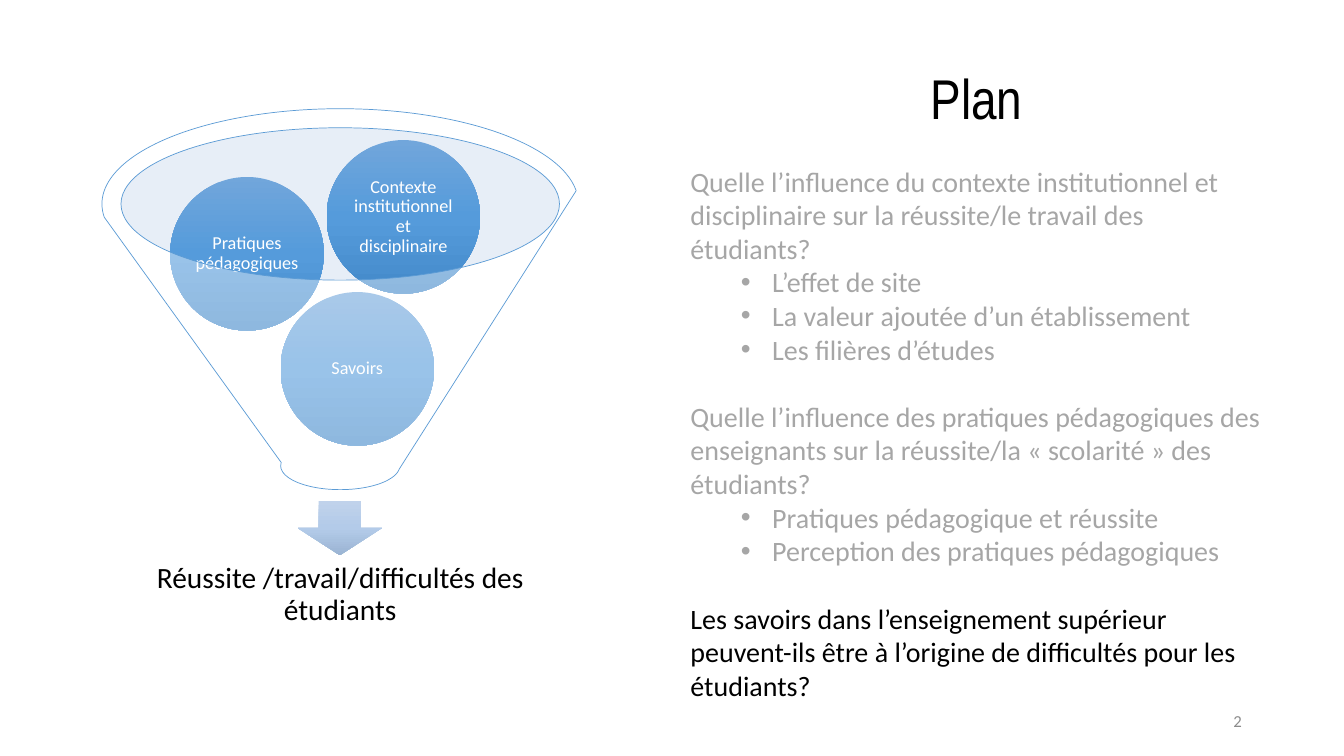
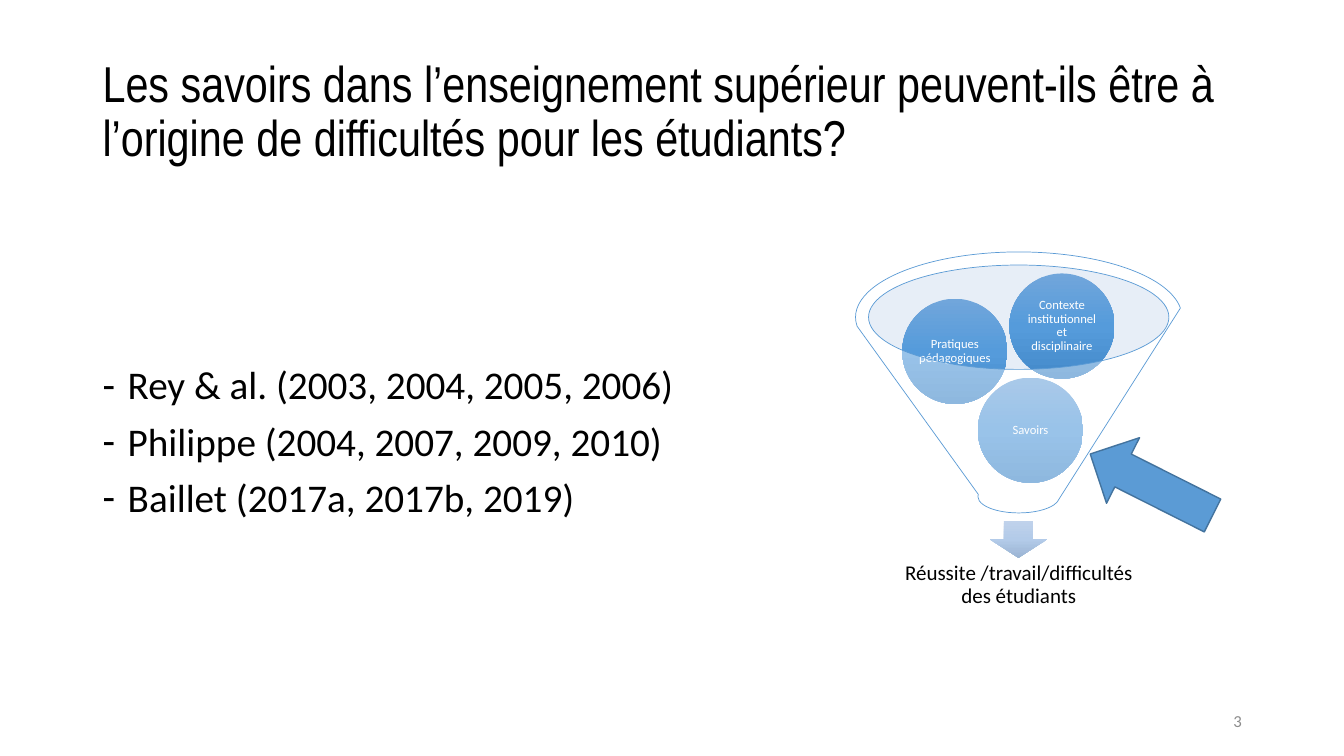
from copy import deepcopy
from dataclasses import dataclass
from typing import Optional

from lxml.etree import SubElement
from pptx import Presentation
from pptx.dml.color import RGBColor
from pptx.enum.shapes import MSO_SHAPE
from pptx.enum.text import MSO_ANCHOR, PP_ALIGN
from pptx.oxml.ns import qn
from pptx.util import Cm, Pt

BODY_FONT, TITLE_FONT = "Calibri", "Arial Narrow"
BLACK, WHITE, MUTED, NUMBER_GREY = "000000", "FFFFFF", "A6A6A6", "8C8C8C"
BLUE, DARK_BLUE, PALE_BLUE = "5B9BD5", "43739E", "C4D5EB"
BALL_GRADIENT = ("71A6DB", "559BDB", "448ACA")
ARROW_GRADIENT = ("C0D2EB", "B3CBE9", "9BB4D3")
QUESTION = ("Les savoirs dans l’enseignement supérieur peuvent-ils être "
            "à l’origine de difficultés pour les étudiants?")


@dataclass(frozen=True)
class Box:
    left: float
    top: float
    width: float
    height: float

    def lengths(self) -> tuple:
        return Cm(self.left), Cm(self.top), Cm(self.width), Cm(self.height)


@dataclass(frozen=True)
class Line:
    text: str
    size: float
    color: str = BLACK
    align: PP_ALIGN = PP_ALIGN.LEFT
    spacing: float = 1.0
    before: float = 0
    bullet: str = ""
    margin: float = 0
    hanging: float = 0
    level: int = 0
    font: str = BODY_FONT


@dataclass(frozen=True)
class Ball:
    label: str
    left: float
    top: float


@dataclass(frozen=True)
class Funnel:
    left: float
    top: float
    scale: float
    ball_size: float
    caption_size: float

    def place(self, left: float, top: float, width: float, height: float) -> Box:
        s = self.scale
        return Box(self.left + left * s, self.top + top * s, width * s, height * s)


BALLS = (
    Ball("Savoirs", 4.5, 4.62),
    Ball("Pratiques pédagogiques", 1.72, 1.72),
    Ball("Contexte institutionnel et disciplinaire", 5.66, 0.79),
)
BALL_DIAMETER = 3.87


def rgb(color: str) -> RGBColor:
    return RGBColor.from_string(color)


def write(frame, lines: list, anchor: MSO_ANCHOR, inset: Optional[float] = None) -> None:
    frame.word_wrap = True
    frame.vertical_anchor = anchor
    if inset is not None:
        frame.margin_left = frame.margin_right = Cm(inset)
        frame.margin_top = frame.margin_bottom = Cm(inset)
    frame.text = "\n".join(line.text for line in lines)
    for paragraph, line in zip(frame.paragraphs, lines):
        paragraph.alignment = line.align
        paragraph.line_spacing = line.spacing
        paragraph.space_before = Pt(line.before)
        paragraph.level = line.level
        if line.bullet:
            properties = paragraph._p.get_or_add_pPr()
            properties.set("marL", str(Cm(line.margin)))
            properties.set("indent", str(-Cm(line.hanging)))
            SubElement(properties, qn("a:buFont")).set("typeface", "Arial")
            SubElement(properties, qn("a:buChar")).set("char", line.bullet)
        for run in paragraph.runs:
            run.font.name = line.font
            run.font.size = Pt(line.size)
            run.font.color.rgb = rgb(line.color)


def add_text(slide, box: Box, lines: list, anchor: MSO_ANCHOR = MSO_ANCHOR.TOP,
             inset: Optional[float] = None) -> None:
    write(slide.shapes.add_textbox(*box.lengths()).text_frame, lines, anchor, inset)


def add_figure(slide, kind: MSO_SHAPE, box: Box, fill: tuple, opacity: int = 100,
               outline: str = "", outline_width: float = 0.5):
    figure = slide.shapes.add_shape(kind, *box.lengths())
    figure.shadow.inherit = False
    if len(fill) == 1:
        figure.fill.solid()
        figure.fill.fore_color.rgb = rgb(fill[0])
        if opacity < 100:
            color = figure.element.spPr.find(f"{qn('a:solidFill')}/{qn('a:srgbClr')}")
            SubElement(color, qn("a:alpha")).set("val", str(opacity * 1000))
    else:
        figure.fill.gradient()
        figure.fill.gradient_angle = 270
        stops = figure.element.spPr.find(f"{qn('a:gradFill')}/{qn('a:gsLst')}")
        stops.insert(1, deepcopy(stops[0]))
        for index, (stop, color) in enumerate(zip(figure.fill.gradient_stops, fill)):
            stop.position = index / (len(fill) - 1)
            stop.color.rgb = rgb(color)
    if outline:
        figure.line.color.rgb = rgb(outline)
        figure.line.width = Pt(outline_width)
    else:
        figure.line.fill.background()
    return figure


def add_funnel(slide, funnel: Funnel) -> None:
    add_figure(slide, MSO_SHAPE.OVAL, funnel.place(0.47, 0.48, 11.07, 3.84),
               (PALE_BLUE,), opacity=40)
    add_figure(slide, MSO_SHAPE.DOWN_ARROW, funnel.place(4.93, 9.88, 2.13, 1.37),
               ARROW_GRADIENT)
    outcome = Line("Réussite /travail/difficultés des étudiants", funnel.caption_size,
                   align=PP_ALIGN.CENTER, spacing=0.9)
    add_text(slide, funnel.place(0.86, 10.97, 10.29, 2.57), [outcome],
             MSO_ANCHOR.MIDDLE, 0.41 * funnel.scale)
    for ball in BALLS:
        circle = add_figure(slide, MSO_SHAPE.OVAL,
                            funnel.place(ball.left, ball.top, BALL_DIAMETER, BALL_DIAMETER),
                            BALL_GRADIENT)
        label = Line(ball.label, funnel.ball_size, WHITE, PP_ALIGN.CENTER, 0.9)
        write(circle.text_frame, [label], MSO_ANCHOR.MIDDLE, 0.04 * funnel.scale)
    add_figure(slide, MSO_SHAPE.FUNNEL, funnel.place(0, 0, 12.01, 9.6),
               (WHITE,), opacity=40, outline=BLUE)


def add_titled_slide(deck, box: Box, title: Line, anchor: MSO_ANCHOR, number: int):
    slide = deck.slides.add_slide(deck.slide_layouts[5])
    heading = slide.shapes.title
    heading.left, heading.top, heading.width, heading.height = box.lengths()
    write(heading.text_frame, [title], anchor)
    add_text(slide, Box(23.93, 17.65, 7.62, 1.02),
             [Line(str(number), 12, NUMBER_GREY, PP_ALIGN.RIGHT)], MSO_ANCHOR.MIDDLE)
    return slide


def question(text: str, color: str = MUTED, before: float = 0) -> Line:
    return Line(text, 20, color, before=before)


def topic(text: str) -> Line:
    return Line(text, 20, MUTED, bullet="•", margin=2.06, hanging=0.79, level=1)


def study(text: str) -> Line:
    return Line(text, 28, spacing=0.9, before=10, bullet="-", margin=0.64, hanging=0.64)


def add_plan(deck) -> None:
    slide = add_titled_slide(deck, Box(17.15, 1.47, 14.91, 1.96),
                             Line("Plan", 40, align=PP_ALIGN.CENTER, font=TITLE_FONT),
                             MSO_ANCHOR.TOP, 2)
    add_funnel(slide, Funnel(2.57, 2.74, 1, 13, 21))
    add_text(slide, Box(17.15, 4.01, 14.91, 13.08), [
        question("Quelle l’influence du contexte institutionnel et disciplinaire "
                 "sur la réussite/le travail des étudiants?"),
        topic("L’effet de site"),
        topic("La valeur ajoutée d’un établissement"),
        topic("Les filières d’études"),
        question("Quelle l’influence des pratiques pédagogiques des enseignants "
                 "sur la réussite/la « scolarité » des étudiants?", before=24),
        topic("Pratiques pédagogique et réussite"),
        topic("Perception des pratiques pédagogiques"),
        question(QUESTION, BLACK, before=24),
    ])


def add_knowledge(deck) -> None:
    slide = add_titled_slide(deck, Box(2.33, 1.01, 29.21, 3.68),
                             Line(QUESTION, 36, spacing=0.9, font=TITLE_FONT),
                             MSO_ANCHOR.MIDDLE, 3)
    add_text(slide, Box(2.33, 5.13, 29.21, 12.09), [
        study("Rey & al. (2003, 2004, 2005, 2006)"),
        study("Philippe (2004, 2007, 2009, 2010)"),
        study("Baillet (2017a, 2017b, 2019)"),
    ], MSO_ANCHOR.MIDDLE)
    add_funnel(slide, Funnel(21.56, 6.35, 0.685, 9, 15))
    pointer = add_figure(slide, MSO_SHAPE.DOWN_ARROW, Box(28.09, 10.49, 1.85, 3.45),
                         (BLUE,), outline=DARK_BLUE, outline_width=1)
    pointer.rotation = 116.7


def main() -> None:
    deck = Presentation()
    deck.slide_width, deck.slide_height = Cm(33.87), Cm(19.05)
    add_plan(deck)
    add_knowledge(deck)
    deck.save("out.pptx")


if __name__ == "__main__":
    main()
